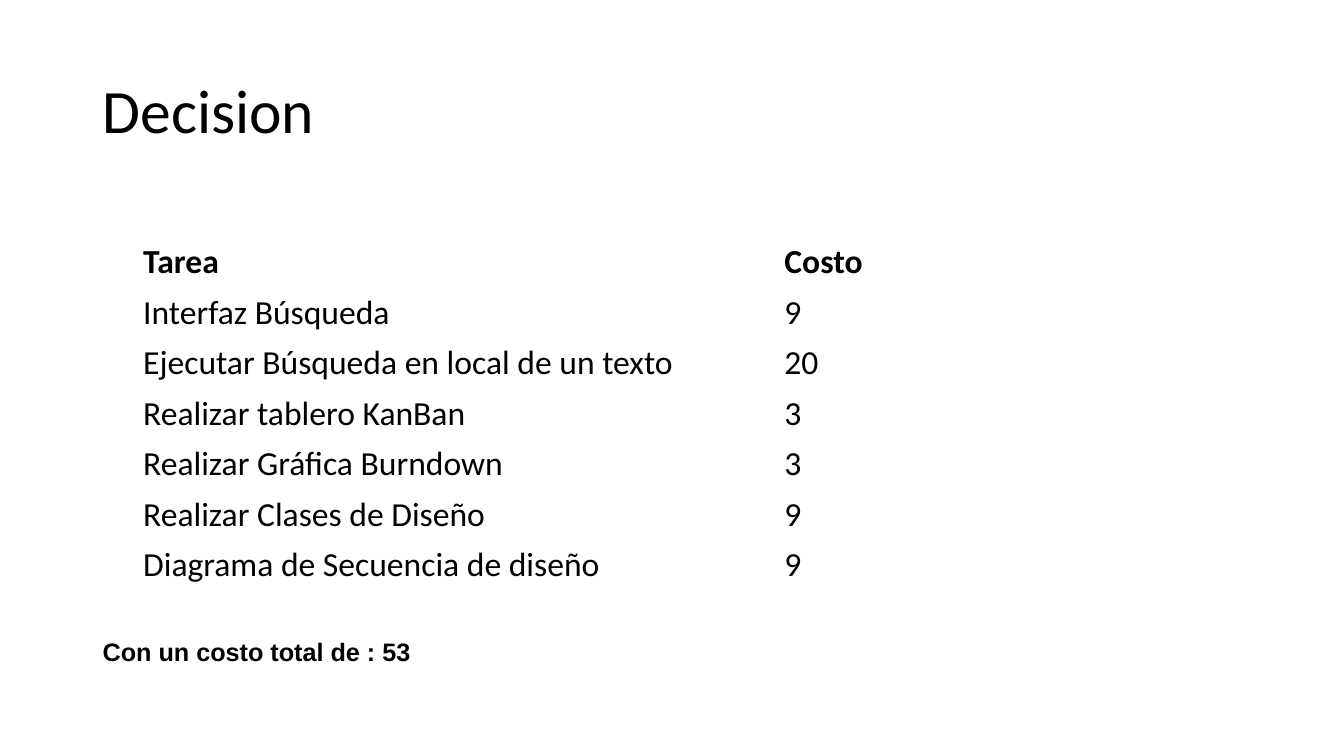
from pptx import Presentation
from pptx.dml.color import RGBColor
from pptx.enum.text import MSO_ANCHOR
from pptx.util import Pt

EMU_PER_PX = 9144
COLOURS = {"text": "000000", "background": "FFFFFF"}
TASKS = [
    ("Tarea", "Costo"),
    ("Interfaz Búsqueda", "9"),
    ("Ejecutar Búsqueda en local de un texto", "20"),
    ("Realizar tablero KanBan", "3"),
    ("Realizar Gráfica Burndown", "3"),
    ("Realizar Clases de Diseño", "9"),
    ("Diagrama de Secuencia de diseño", "9"),
]


def px(length):
    """Turn whole pixels into EMU."""
    return length * EMU_PER_PX


def write(frame, text, size, font="Calibri", bold=False, spacing=None):
    """Put one formatted span into the first paragraph of a text frame."""
    para = frame.paragraphs[0]
    para.line_spacing = spacing
    span = para.add_run()
    span.text = text
    span.font.size = Pt(size)
    span.font.name = font
    span.font.bold = bold
    span.font.color.rgb = RGBColor.from_string(COLOURS["text"])


class SlideBuilder:
    """Hold the style and the current slide."""

    def __init__(self, page):
        """Start on a page with a plain background."""
        self.page = page
        fill = page.background.fill
        fill.solid()
        fill.fore_color.rgb = RGBColor.from_string(COLOURS["background"])

    def text(self, area, text, wrap=True, **style):
        """Add a vertically centred text box."""
        box = self.page.shapes.add_textbox(*map(px, area))
        frame = box.text_frame
        frame.word_wrap = wrap
        frame.vertical_anchor = MSO_ANCHOR.MIDDLE
        write(frame, text, **style)

    def table(self, left, top, widths, row_height, rows):
        """Add an unfilled table whose first row is bold."""
        area = (left, top, sum(widths), row_height * len(rows))
        table = self.page.shapes.add_table(
            len(rows), len(widths), *map(px, area)).table
        table.horz_banding = False
        for column, width in zip(table.columns, widths):
            column.width = px(width)
        for row_index, row in enumerate(rows):
            for column_index, text in enumerate(row):
                cell = table.cell(row_index, column_index)
                cell.fill.background()
                cell.vertical_anchor = MSO_ANCHOR.MIDDLE
                write(cell.text_frame, text, size=24, bold=row_index == 0)


def main():
    """Build and save the deck."""
    deck = Presentation()
    deck.slide_width, deck.slide_height = px(1333), px(750)
    builder = SlideBuilder(deck.slides.add_slide(deck.slide_layouts[6]))
    builder.text((92, 40, 1150, 145), "Decision", size=44, spacing=0.9)
    builder.table(132, 235, (636, 110), 50, TASKS)
    builder.text((92, 626, 329, 40), "Con un costo total de : 53",
                 wrap=False, size=18, font="Arial", bold=True)
    deck.save("out.pptx")


if __name__ == "__main__":
    main()
